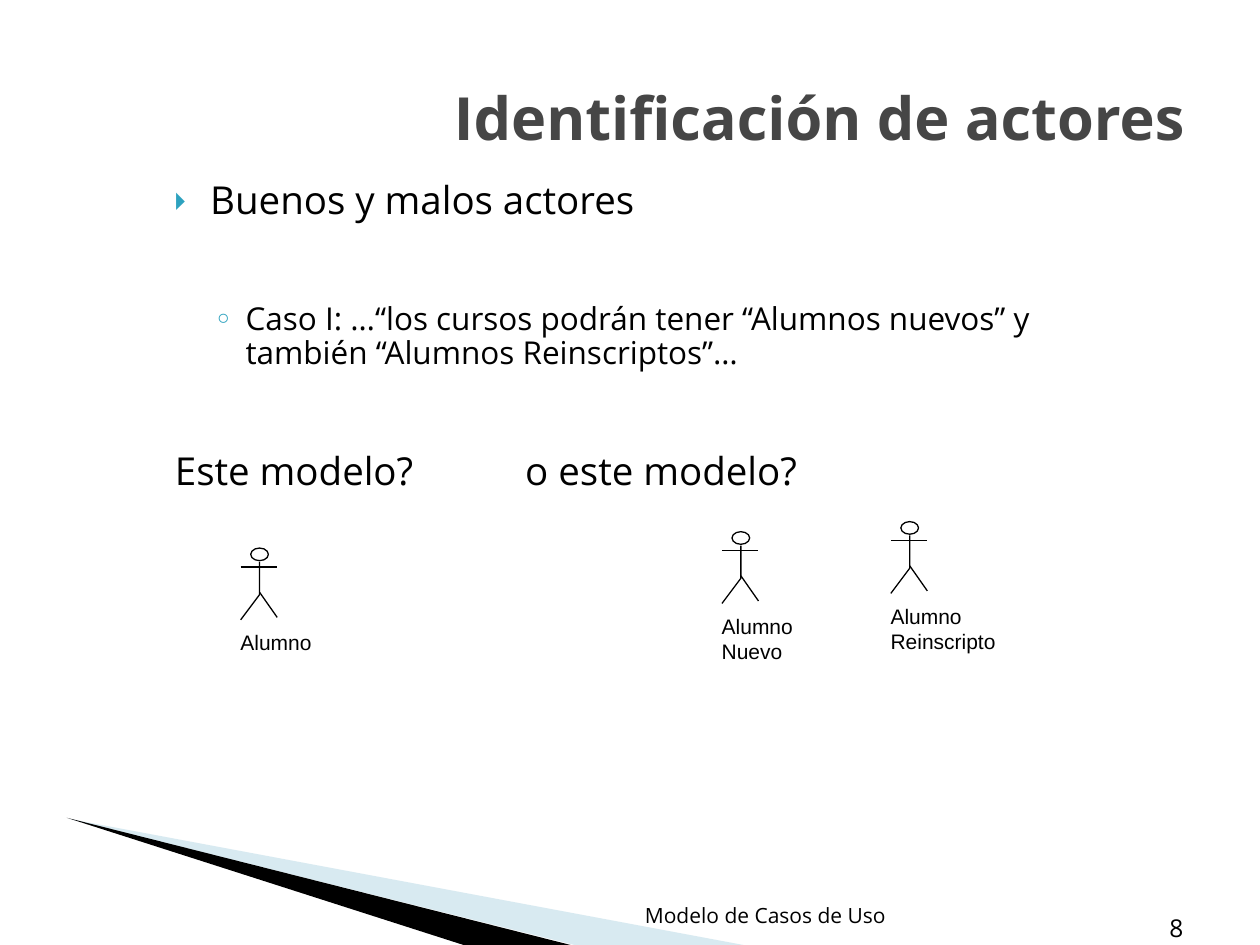
from lxml.etree import SubElement
from pptx import Presentation
from pptx.dml.color import RGBColor
from pptx.enum.shapes import MSO_CONNECTOR, MSO_SHAPE
from pptx.enum.text import MSO_ANCHOR, PP_ALIGN
from pptx.oxml.ns import qn
from pptx.util import Inches, Pt

deck = Presentation()
deck.slide_width, deck.slide_height = Inches(10), Inches(7.5)
slide = deck.slides.add_slide(deck.slide_layouts[6])
shapes = slide.shapes
tint = RGBColor.from_string

# Grid of 1000 columns by 750 rows
cell = deck.slide_width // 1000


def write(spot, lines, size, font="Open Sans", color="000000", bold=False,
          align=PP_ALIGN.LEFT, anchor=MSO_ANCHOR.TOP):
    """Add a text box at a grid spot, one paragraph per line."""
    frame = shapes.add_textbox(*[n * cell for n in spot]).text_frame
    frame.word_wrap = True
    frame.vertical_anchor = anchor
    frame.text = "\n".join(lines)
    for para in frame.paragraphs:
        para.alignment = align
        para.font.size, para.font.name = Pt(size), font
        para.font.bold, para.font.color.rgb = bold, tint(color)
    return frame


def draw(points, fill=None):
    """Add a closed filled outline, or an open stroke without fill."""
    pen = shapes.build_freeform(*points[0], scale=cell)
    pen.add_line_segments(points[1:], close=fill is not None)
    form = pen.convert_to_shape()
    form.shadow.inherit = False
    if fill:
        form.fill.solid()
        form.fill.fore_color.rgb = tint(fill)
        form.line.fill.background()
    else:
        form.fill.background()
        form.line.color.rgb = tint("000000")
        form.line.width = Pt(0.75)
    return form


# Corner wedges
pale = draw([(55, 650), (590, 750), (456, 750)], "9FCBDC")
hue = pale.fill._xPr.find(".//" + qn("a:srgbClr"))
SubElement(hue, qn("a:alpha"), val="40000")
draw([(53, 649), (453, 750), (368, 750)], "000000")

# Title, footer and page number
write((50, 30, 900, 125), ["Identificación de actores"], 34, color="464646",
      bold=True, align=PP_ALIGN.RIGHT, anchor=MSO_ANCHOR.MIDDLE)
write((479, 701, 257, 40), ["Modelo de Casos de Uso"], 12,
      align=PP_ALIGN.CENTER, anchor=MSO_ANCHOR.BOTTOM)
write((902, 713, 47, 40), ["8"], 14,
      align=PP_ALIGN.RIGHT, anchor=MSO_ANCHOR.BOTTOM)

# Body: size, space before, margin, indent, bullet, bullet share
body = write((117, 139, 781, 475), [
    "Buenos y malos actores",
    "Caso I: …“los cursos podrán tener “Alumnos nuevos” y "
    "también “Alumnos Reinscriptos”…",
    "Este modelo?\t\to este modelo?"], 22)
styles = [(22, 0, 40, -28, "🞂", 68),
          (18, 46, 68, -25, "◦", 100),
          (22, 46, 40, -28, None, 100)]
for para, (size, gap, left, hang, mark, share) in zip(body.paragraphs, styles):
    para.font.size = Pt(size)
    para.space_before = Pt(gap)
    para.line_spacing = 0.9
    props = para._p.get_or_add_pPr()
    props.set("marL", str(left * cell))
    props.set("indent", str(hang * cell))
    if mark:
        para.level = 1 if mark == "◦" else 0
        shade = SubElement(props, qn("a:buClr"))
        SubElement(shade, qn("a:srgbClr"), val="2DA2BF")
        SubElement(props, qn("a:buSzPct"), val=str(share * 1000))
        SubElement(props, qn("a:buFont"), typeface="Open Sans")
        SubElement(props, qn("a:buChar"), char=mark)
    # Schema order: bullets come before default run properties
    base = props.find(qn("a:defRPr"))
    if base is not None:
        props.append(base)

# Stick actors: centre column, top row, label width, label
actors = [(206, 435, 77, ["Alumno"]),
          (588, 422, 77, ["Alumno", "Nuevo"]),
          (722, 414, 104, ["Alumno", "Reinscripto"])]
for mid, top, wide, label in actors:
    head = shapes.add_shape(MSO_SHAPE.OVAL, (mid - 7) * cell, top * cell,
                            14 * cell, 10 * cell)
    head.shadow.inherit = False
    head.fill.solid()
    head.fill.fore_color.rgb = tint("FFFFFF")
    head.line.color.rgb = tint("000000")
    head.line.width = Pt(0.75)
    # Arms and right leg
    for ends in [(mid - 15, top + 15, mid + 14, top + 15),
                 (mid, top + 35, mid + 14, top + 55)]:
        limb = shapes.add_connector(MSO_CONNECTOR.STRAIGHT,
                                    *[n * cell for n in ends])
        limb.line.color.rgb = tint("000000")
        limb.line.width = Pt(0.75)
        SubElement(limb._element.spPr, qn("a:effectLst"))
    # Trunk and left leg
    draw([(mid, top + 11), (mid, top + 37), (mid - 15, top + 57)])
    write((mid - 25, top + 60, wide, 10 + 20 * len(label)), label, 12, "Arial")

deck.save("out.pptx")
